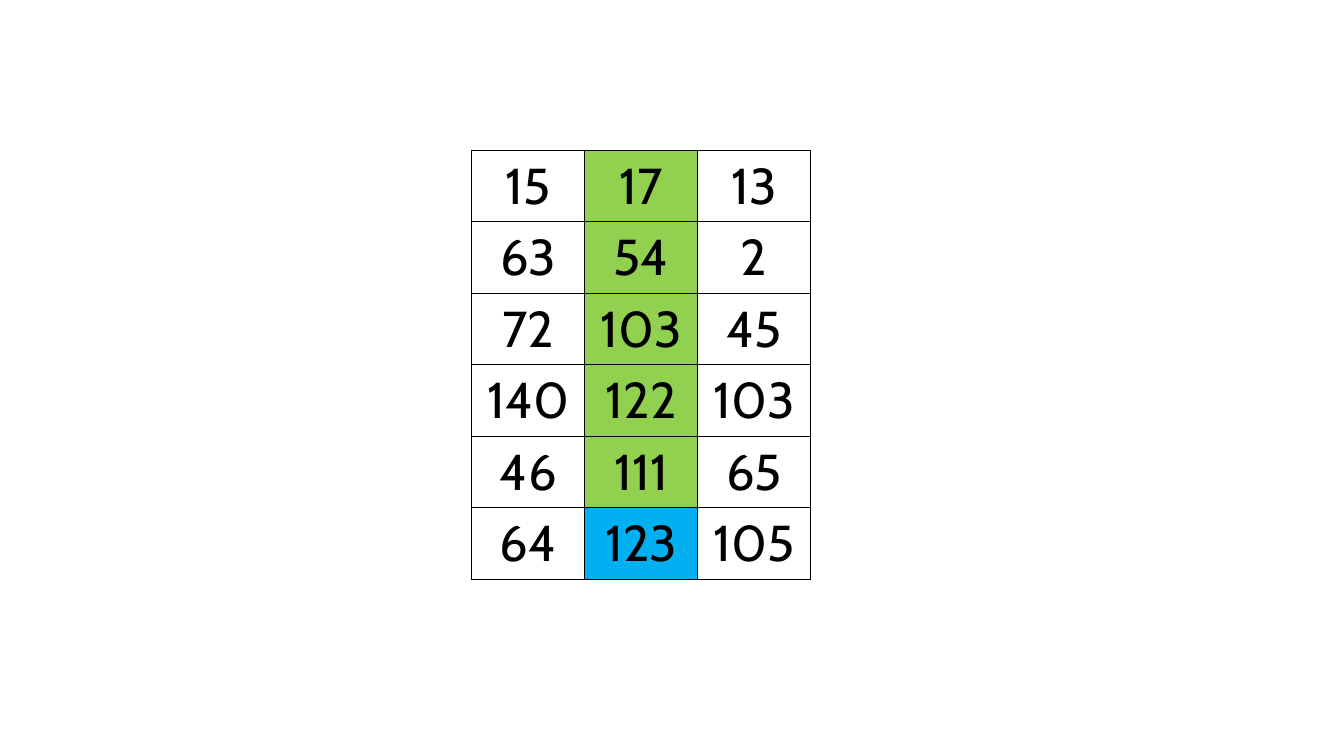
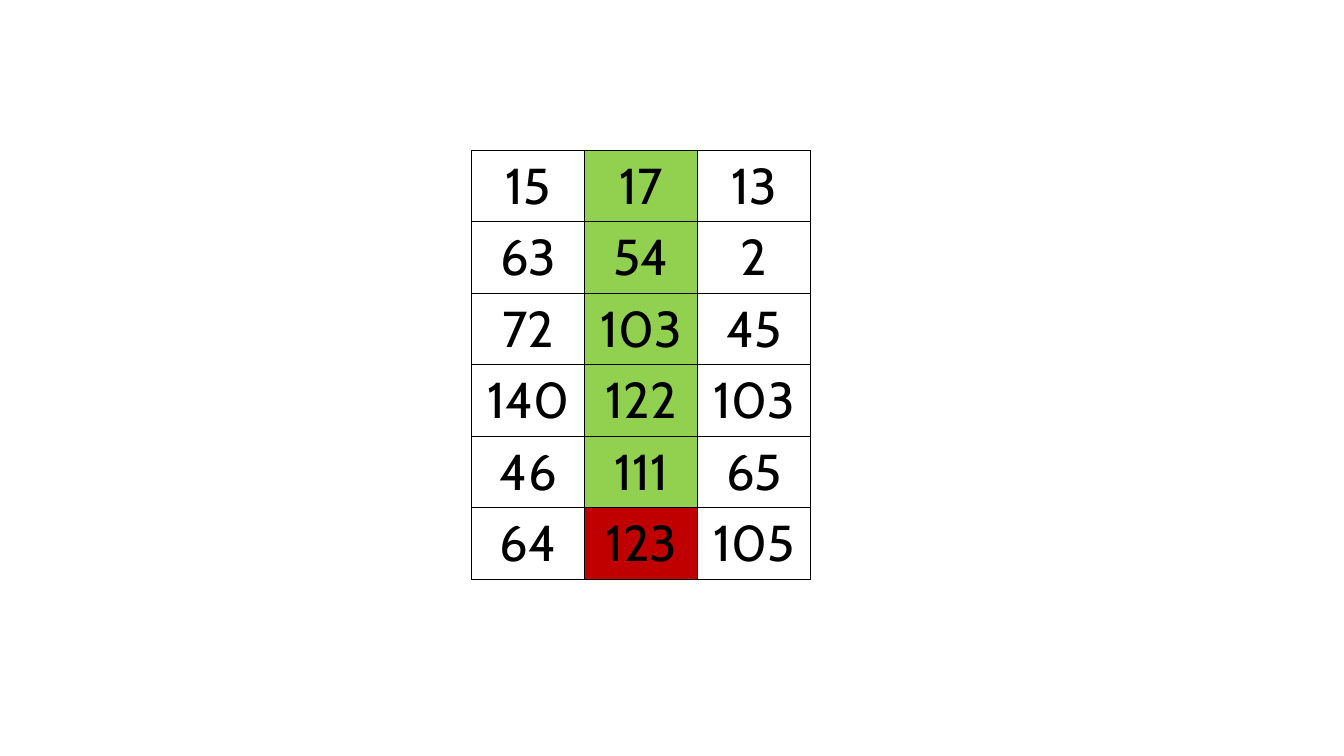
from dataclasses import dataclass

from lxml.etree import SubElement
from pptx import Presentation
from pptx.dml.color import RGBColor as Rgb
from pptx.enum.text import PP_ALIGN as Align
from pptx.oxml.ns import qn
from pptx.slide import Slide
from pptx.table import _Cell as Cell
from pptx.util import Pt


@dataclass(frozen=True)
class Theme:
    font: str = "Cabin"
    number_size: float = 36
    border_width: float = 1
    ink: str = "000000"
    plain: str = "FFFFFF"
    sorted_part: str = "92D050"
    candidate: str = "00B0F0"
    rejected: str = "C00000"


@dataclass(frozen=True)
class Grid:
    left: float = 337
    top: float = 107.4
    column_width: float = 80.7
    row_height: float = 51


@dataclass(frozen=True)
class Step:
    last_fill: str


THEME = Theme()
GRID = Grid()
NUMBERS = (
    (15, 17, 13),
    (63, 54, 2),
    (72, 103, 45),
    (140, 122, 103),
    (46, 111, 65),
    (64, 123, 105),
)
MARKED_COLUMN = 1
STEPS = (Step(THEME.candidate), Step(THEME.rejected))


def add_borders(cell: Cell) -> None:
    properties = cell._tc.get_or_add_tcPr()
    for position, side in enumerate(("lnL", "lnR", "lnT", "lnB")):
        border = SubElement(properties, qn(f"a:{side}"), w=str(Pt(THEME.border_width)))
        paint = SubElement(border, qn("a:solidFill"))
        SubElement(paint, qn("a:srgbClr"), val=THEME.ink)
        properties.insert(position, border)


def fill_cell(cell: Cell, number: int, colour: str) -> None:
    cell.fill.solid()
    cell.fill.fore_color.rgb = Rgb.from_string(colour)
    add_borders(cell)
    paragraph = cell.text_frame.paragraphs[0]
    paragraph.alignment = Align.CENTER
    run = paragraph.add_run()
    run.text = str(number)
    run.font.name = THEME.font
    run.font.size = Pt(THEME.number_size)
    run.font.color.rgb = Rgb.from_string(THEME.ink)


def cell_colour(row: int, column: int, step: Step) -> str:
    if column != MARKED_COLUMN:
        return THEME.plain
    return step.last_fill if row == len(NUMBERS) - 1 else THEME.sorted_part


def add_number_grid(slide: Slide, step: Step) -> None:
    rows, columns = len(NUMBERS), len(NUMBERS[0])
    table = slide.shapes.add_table(
        rows,
        columns,
        Pt(GRID.left),
        Pt(GRID.top),
        Pt(GRID.column_width * columns),
        Pt(GRID.row_height * rows),
    ).table
    table.first_row = table.horz_banding = False
    for column in table.columns:
        column.width = Pt(GRID.column_width)
    for row in table.rows:
        row.height = Pt(GRID.row_height)
    for r, numbers in enumerate(NUMBERS):
        for c, number in enumerate(numbers):
            fill_cell(table.cell(r, c), number, cell_colour(r, c, step))


def main() -> None:
    deck = Presentation()
    deck.slide_width, deck.slide_height = Pt(960), Pt(540)
    for step in STEPS:
        add_number_grid(deck.slides.add_slide(deck.slide_layouts[6]), step)
    deck.save("out.pptx")


if __name__ == "__main__":
    main()
